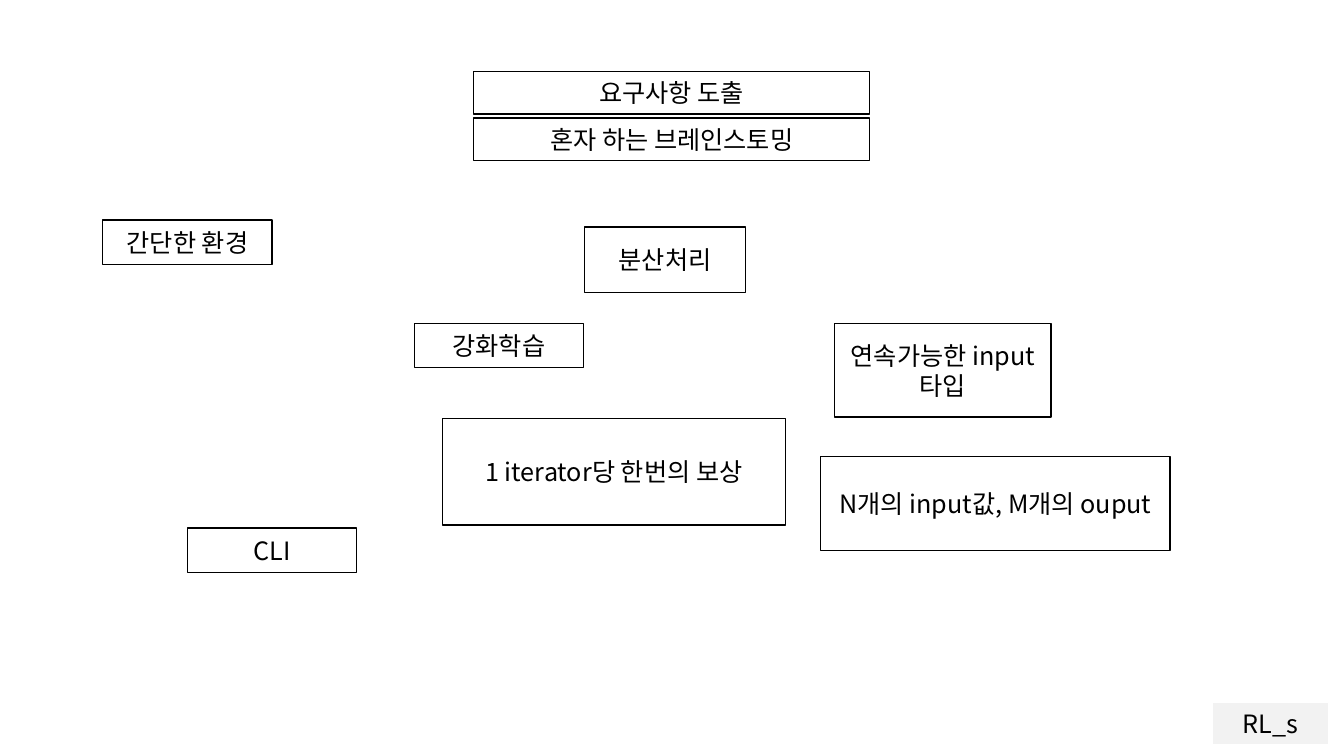
from dataclasses import dataclass

from lxml import etree
from pptx import Presentation
from pptx.dml.color import RGBColor
from pptx.enum.shapes import MSO_SHAPE
from pptx.enum.text import MSO_ANCHOR, MSO_AUTO_SIZE, PP_ALIGN
from pptx.oxml.ns import qn
from pptx.util import Cm, Pt

RECTANGLE = MSO_SHAPE.RECTANGLE
MIDDLE = MSO_ANCHOR.MIDDLE
FIXED_SIZE = MSO_AUTO_SIZE.NONE
CENTER = PP_ALIGN.CENTER
TITLE_ONLY = 5


@dataclass(frozen=True)
class Theme:
    font: str = "Noto Sans CJK KR"
    size: int = 18
    ink: str = "000000"
    paper: str = "FFFFFF"
    tag: str = "F2F2F2"
    line_width: int = 1


THEME = Theme()

# Sizes in centimetres: width, height
HEADING = (9.98, 1.07)
KEYWORD = (4.27, 1.12)
TAG = (2.92, 1.07)

HEADING_LEFT, TITLE_TOP, SUBTITLE_TOP = 11.94, 1.8, 2.97

# Text, left, top, size
IDEAS = [
    ("간단한 환경", 2.59, 5.54, KEYWORD),
    ("강화학습", 10.44, 8.15, KEYWORD),
    ("CLI", 4.72, 13.31, KEYWORD),
    ("연속가능한 input 타입", 21.03, 8.15, (5.46, 2.36)),
    ("N개의 input값, M개의 ouput", 20.68, 11.51, (8.81, 2.36)),
    ("1 iterator당 한번의 보상", 11.15, 10.54, (8.64, 2.69)),
    ("분산처리", 14.73, 5.72, (4.06, 1.65)),
]


def write_text(box, text, *, size=THEME.size, color=THEME.ink, align=CENTER):
    frame = box.text_frame
    frame.word_wrap = True
    frame.auto_size = FIXED_SIZE
    frame.vertical_anchor = MIDDLE
    frame.margin_left = frame.margin_right = Cm(0.25)
    frame.margin_top = frame.margin_bottom = Cm(0.13)
    para = frame.paragraphs[0]
    para.alignment = align
    span = para.add_run()
    span.text = text
    span.font.name = THEME.font
    span.font.size = Pt(size)
    span.font.color.rgb = RGBColor.from_string(color)
    # Korean glyphs take the East Asian typeface
    properties = span.font._element
    etree.SubElement(properties, qn("a:ea"), typeface=THEME.font)


def paint(box, fill, line):
    box.fill.solid()
    box.fill.fore_color.rgb = RGBColor.from_string(fill)
    box.line.color.rgb = RGBColor.from_string(line)
    box.line.width = Pt(THEME.line_width)


def set_title(page, text, left, top, size):
    title = page.shapes.title
    title.left, title.top = Cm(left), Cm(top)
    title.width, title.height = (Cm(length) for length in size)
    paint(title, THEME.paper, THEME.ink)
    write_text(title, text)


def add_box(page, text, left, top, size, fill=THEME.paper, line=THEME.ink):
    width, height = size
    box = page.shapes.add_shape(
        RECTANGLE, Cm(left), Cm(top), Cm(width), Cm(height)
    )
    box.shadow.inherit = False
    paint(box, fill, line)
    write_text(box, text)


def main():
    deck = Presentation()
    deck.slide_width, deck.slide_height = Cm(33.87), Cm(19.05)
    page = deck.slides.add_slide(deck.slide_layouts[TITLE_ONLY])
    set_title(page, "요구사항 도출", HEADING_LEFT, TITLE_TOP, HEADING)
    add_box(page, "혼자 하는 브레인스토밍", HEADING_LEFT, SUBTITLE_TOP, HEADING)
    for idea in IDEAS:
        add_box(page, *idea)
    add_box(page, "RL_s", 30.56, 17.7, TAG, fill=THEME.tag, line=THEME.paper)
    deck.save("out.pptx")


if __name__ == "__main__":
    main()
